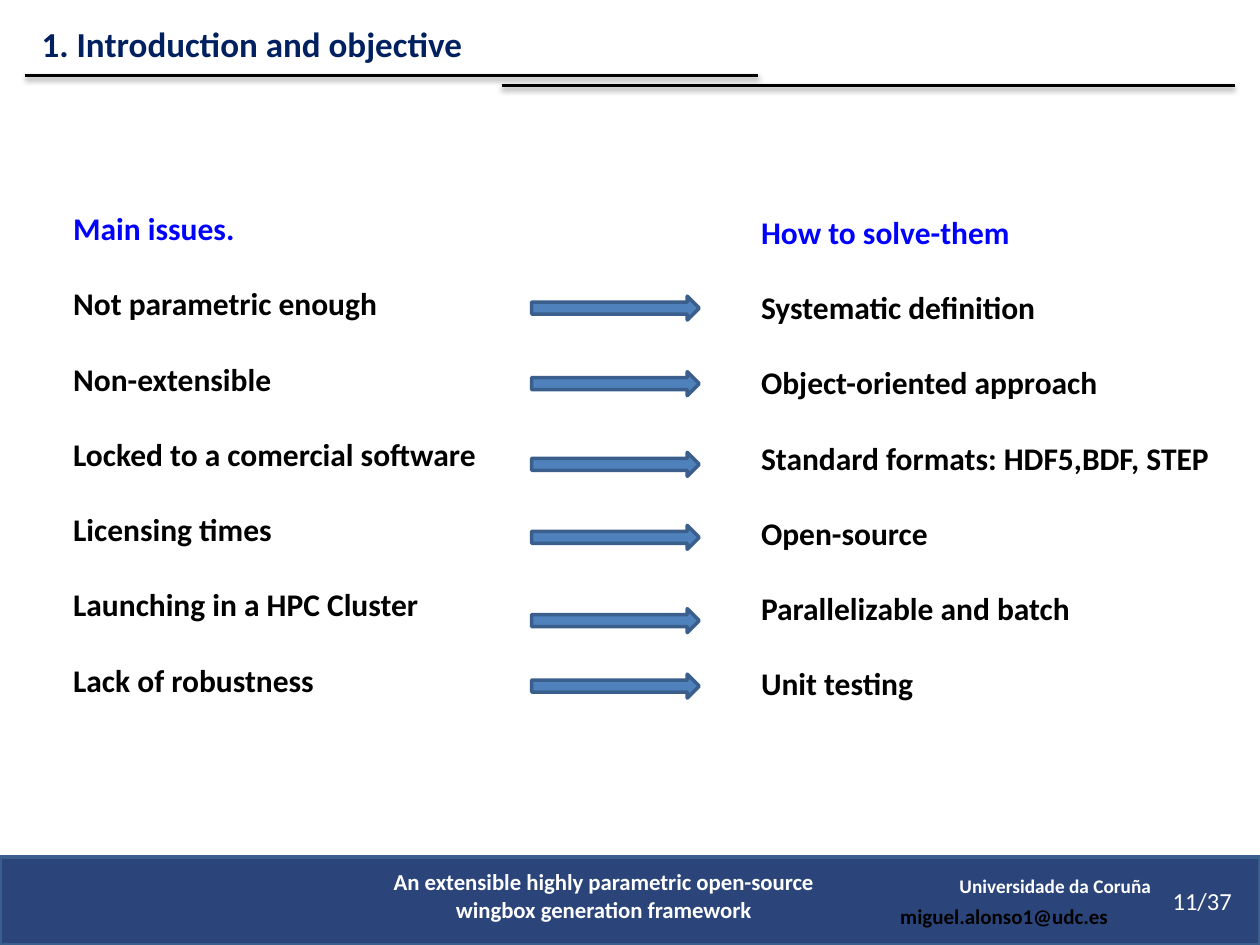
import pptx
import pptx.util
import pptx.dml.color
import pptx.enum.shapes
import pptx.enum.text
import pptx.oxml
import pptx.oxml.ns

Pt = pptx.util.Pt
shapes = pptx.enum.shapes
enum = pptx.enum.text
left, center = enum.PP_ALIGN.LEFT, enum.PP_ALIGN.CENTER
top, middle = enum.MSO_ANCHOR.TOP, enum.MSO_ANCHOR.MIDDLE
space = pptx.oxml.ns.nsdecls("a")


def color(code):
    return pptx.dml.color.RGBColor.from_string(code)


def write(box, spot, lines, size, align=left, anchor=top, gap=0, bold=True):
    box.left, box.top, box.width, box.height = [Pt(n) for n in spot]
    frame = box.text_frame
    frame.word_wrap = True
    frame.auto_size = enum.MSO_AUTO_SIZE.NONE
    frame.vertical_anchor = anchor
    for i, (text, code) in enumerate(lines):
        para = frame.paragraphs[0] if i == 0 else frame.add_paragraph()
        props = para._p.get_or_add_pPr()
        props.set("marL", "0")
        props.set("indent", "0")
        props.append(pptx.oxml.parse_xml(f"<a:buNone {space}/>"))
        para.alignment = align
        para.space_before = Pt(gap if i else 0)
        run = para.add_run()
        run.text = text
        run.font.name = "Calibri"
        run.font.size = Pt(size)
        run.font.bold = bold
        run.font.color.rgb = color(code)


deck = pptx.Presentation()
deck.slide_width, deck.slide_height = Pt(720), Pt(540)
slide = deck.slides.add_slide(deck.slide_layouts[3])
tree = slide.shapes

# Footer band
band = tree.add_shape(shapes.MSO_SHAPE.RECTANGLE, Pt(0), Pt(489.6), Pt(720), Pt(50.4))
band.shadow.inherit = False
band.fill.solid()
band.fill.fore_color.rgb = color("002060")
tint = band.fill._xPr.find(".//" + pptx.oxml.ns.qn("a:srgbClr"))
tint.append(pptx.oxml.parse_xml(f'<a:alpha {space} val="83000"/>'))
band.line.color.rgb = color("3A5F8C")
band.line.width = Pt(2)

# Footer texts
notes = [
    ("11/37", (663, 500.4, 61.2, 28.8), 14, "FFFFFF", left, middle, False),
    ("Universidade da Coruña", (531.4, 496.8, 143.3, 18.7), 11, "FFFFFF", center, middle, True),
    ("An extensible highly parametric open-source wingbox generation framework",
     (202.3, 492.5, 285.1, 38.9), 13, "FFFFFF", center, top, True),
    ("miguel.alonso1@udc.es", (492.5, 512.6, 162.7, 21.6), 12, "000000", center, top, True),
]
for text, spot, size, code, align, anchor, bold in notes:
    box = tree.add_textbox(0, 0, 0, 0)
    write(box, spot, [(text, code)], size, align, anchor, bold=bold)

# Rules under the title
for x, y in [(14.4, 43.2), (286.6, 49)]:
    rule = tree.add_connector(shapes.MSO_CONNECTOR.STRAIGHT, Pt(x), Pt(y), Pt(x + 419), Pt(y))
    rule.line.color.rgb = color("000000")
    rule.line.width = Pt(2)
    rule._element.spPr.append(pptx.oxml.parse_xml(
        f'<a:effectLst {space}><a:outerShdw blurRad="{Pt(3.1)}" dist="{Pt(1.6)}" '
        'dir="5400000" rotWithShape="0"><a:srgbClr val="000000">'
        '<a:alpha val="38000"/></a:srgbClr></a:outerShdw></a:effectLst>'))

# Title
write(tree.title, (16.6, 9.4, 454.3, 31), [("1. Introduction and objective", "002060")], 20)

# Issues and their solutions
issues = ["Main issues.", "Not parametric enough", "Non-extensible",
          "Locked to a comercial software", "Licensing times",
          "Launching in a HPC Cluster", "Lack of robustness"]
cures = ["How to solve-them", "Systematic definition", "Object-oriented approach",
         "Standard formats: HDF5,BDF, STEP", "Open-source",
         "Parallelizable and batch", "Unit testing"]
for slot, x, y, items in [(1, 34.6, 115.9, issues), (2, 427.7, 118.1, cures)]:
    lines = [(item, "000000" if i else "0000FF") for i, item in enumerate(items)]
    write(slide.placeholders[slot], (x, y, 280, 312.5), lines, 18, gap=21.4)

# Arrows from issue to solution
for y in [169.2, 212.4, 258.5, 300.2, 347.8, 385.2]:
    arrow = tree.add_shape(shapes.MSO_SHAPE.RIGHT_ARROW, Pt(303.8), Pt(y), Pt(95.8), Pt(13.7))
    arrow.shadow.inherit = False
    arrow.fill.solid()
    arrow.fill.fore_color.rgb = color("4F81BD")
    arrow.line.color.rgb = color("3A5F8C")
    arrow.line.width = Pt(2)

deck.save("out.pptx")
